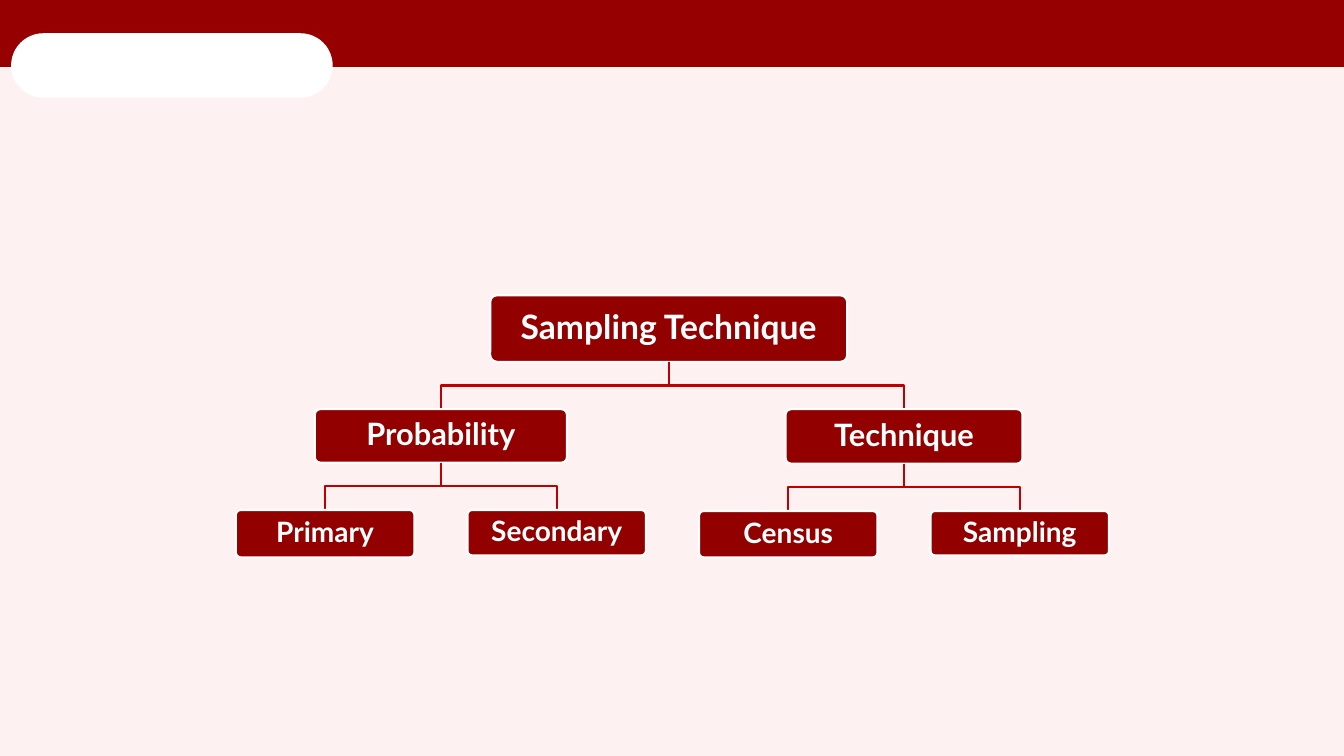
from dataclasses import dataclass

from pptx import Presentation
from pptx.dml.color import RGBColor
from pptx.enum.shapes import MSO_SHAPE as Preset
from pptx.enum.text import MSO_ANCHOR as Anchor, PP_ALIGN as Align
from pptx.util import Inches, Pt

WHITE = "FFFFFF"
BAND_RED = "960000"
NODE_RED = "920000"
LINE_RED = "C00000"
PALE_PINK = "FDF2F1"
LEVEL_GAP = 0.47
LEAF_WIDTH = 1.77


@dataclass
class Node:
    text: str
    width: float
    height: float
    size: int
    inset: float
    children: tuple = ()
    centre: float = 0


def leaf(text, height):
    return Node(text, LEAF_WIDTH, height, 20, 0.08)


TREE = Node("Sampling Technique", 3.54, 0.66, 24, 0.1, (
    Node("Probability", 2.5, 0.53, 22, 0.09,
         (leaf("Primary", 0.47), leaf("Secondary", 0.45))),
    Node("Technique", 2.35, 0.54, 22, 0.09,
         (leaf("Census", 0.46), leaf("Sampling", 0.44))),
))


def colour(value):
    return RGBColor.from_string(value)


def set_line(shape, value):
    shape.line.color.rgb = colour(value)
    shape.line.width = Pt(1.5)


def add_block(page, preset, box, fill, line=None, rounding=None):
    shape = page.shapes.add_shape(preset, *map(Inches, box))
    shape.shadow.inherit = False
    shape.fill.solid()
    shape.fill.fore_color.rgb = colour(fill)
    if line:
        set_line(shape, line)
    else:
        shape.line.fill.background()
    if rounding is not None:
        shape.adjustments[0] = rounding
    return shape


def write_text(shape, text, size=20, bold=True, font="Lato", fill=WHITE, inset=0.1):
    frame = shape.text_frame
    frame.word_wrap = True
    frame.vertical_anchor = Anchor.MIDDLE
    frame.margin_left = frame.margin_right = Inches(inset)
    frame.margin_top = frame.margin_bottom = Inches(inset)
    para = frame.paragraphs[0]
    para.alignment = Align.CENTER
    para.line_spacing = 0.9
    span = para.add_run()
    span.text = text
    span.font.name = font
    span.font.size = Pt(size)
    span.font.bold = bold
    span.font.color.rgb = colour(fill)


def add_elbow(page, start, end):
    middle = (start[1] + end[1]) / 2
    corners = [(start[0], middle), (end[0], middle), end]
    builder = page.shapes.build_freeform(*map(Inches, start))
    builder.add_line_segments(
        [tuple(map(Inches, corner)) for corner in corners], close=False)
    elbow = builder.convert_to_shape()
    elbow.shadow.inherit = False
    elbow.fill.background()
    set_line(elbow, LINE_RED)


def place_centres(node, leaf_centres):
    if not node.children:
        node.centre = next(leaf_centres)
        return
    for child in node.children:
        place_centres(child, leaf_centres)
    first, last = node.children[0], node.children[-1]
    left = first.centre - first.width / 2
    right = last.centre + last.width / 2
    node.centre = (left + right) / 2


def draw_node(page, node, top):
    box = (node.centre - node.width / 2, top, node.width, node.height)
    block = add_block(page, Preset.ROUNDED_RECTANGLE, box, NODE_RED, WHITE, 0.1)
    write_text(block, node.text, size=node.size, inset=node.inset)
    bottom = top + node.height
    for child in node.children:
        child_top = bottom + LEVEL_GAP
        add_elbow(page, (node.centre, bottom), (child.centre, child_top))
        draw_node(page, child, child_top)


def draw_tree(page, box, root):
    left, top, width, _ = box
    leaf_count = sum(len(branch.children) for branch in root.children)
    step = (width - LEAF_WIDTH) / (leaf_count - 1)
    first = left + LEAF_WIDTH / 2
    place_centres(root, (first + index * step for index in range(leaf_count)))
    draw_node(page, root, top)


def draw_header(page, box):
    left, top, _, _ = box
    add_block(page, Preset.RECTANGLE, box, BAND_RED, BAND_RED)
    label_box = (left + 0.11, top + 0.33, 3.19, 0.64)
    add_block(page, Preset.ROUNDED_RECTANGLE, label_box, WHITE, rounding=0.5)


def main():
    deck = Presentation()
    deck.slide_width = Inches(13.33)
    deck.slide_height = Inches(7.5)
    page = deck.slides.add_slide(deck.slide_layouts[6])
    page.background.fill.solid()
    page.background.fill.fore_color.rgb = colour(PALE_PINK)
    draw_header(page, (0, 0, 13.33, 0.65))
    draw_tree(page, (2.34, 2.93, 8.66, 2.6), TREE)
    deck.save("out.pptx")


if __name__ == "__main__":
    main()
